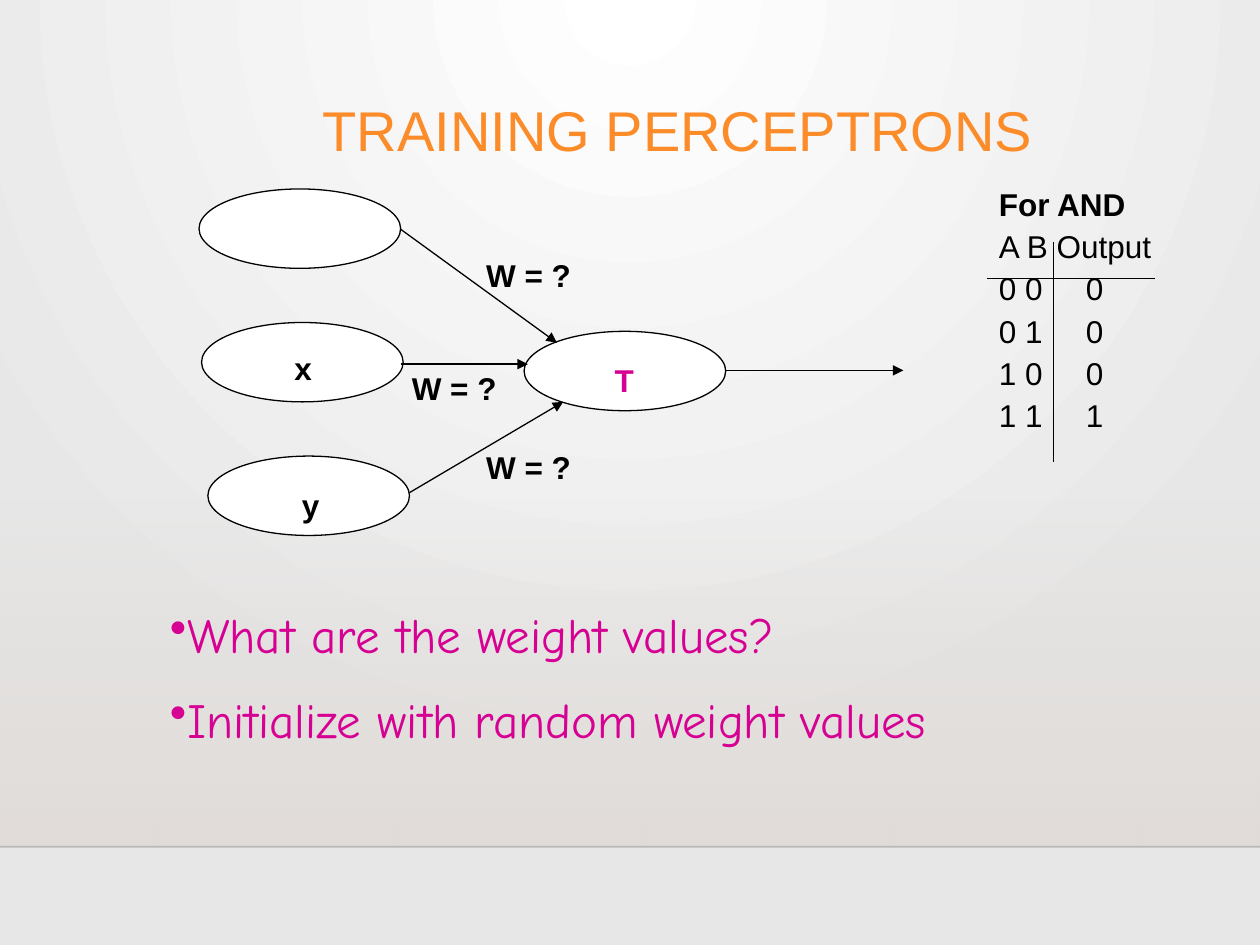
from dataclasses import dataclass
from typing import NamedTuple

from lxml import etree
from pptx import Presentation
from pptx import util as u
from pptx.dml import color
from pptx.enum import shapes, text
from pptx.oxml import ns


@dataclass(frozen=True)
class Theme:
    ink: str = "000000"
    paper: str = "FFFFFF"
    edge: str = "E7E7E7"
    floor: str = "DFD9D5"
    title: str = "FB8C29"
    accent: str = "D60093"
    sans: str = "Arial"
    hand: str = "Comic Neue"
    title_size: int = 32
    bullet_size: int = 28
    label_size: int = 18
    thin: float = 0.75


class Node(NamedTuple):
    left: float
    top: float


class Label(NamedTuple):
    words: str
    left: float
    top: float
    ink: str


class Line(NamedTuple):
    x1: float
    y1: float
    x2: float
    y2: float
    arrow: bool = False


T = Theme()
NODE_SIZE = (1.6, 0.63)
LABEL_SIZE = (1.39, 0.3)

# Output unit first, then the inputs y, x and the unnamed one
NODES = [Node(4.16, 2.63), Node(1.65, 3.62), Node(1.6, 2.56), Node(1.58, 1.5)]
LABELS = [
    Label("T", 4.26, 2.82, T.accent),
    Label("y", 1.77, 3.81, T.ink),
    Label("x", 1.71, 2.72, T.ink),
    Label("W = ?", 3.5, 1.98, T.ink),
    Label("W = ?", 3.5, 3.51, T.ink),
    Label("W = ?", 2.91, 2.88, T.ink),
]
LINES = [
    Line(3.18, 1.82, 4.42, 2.72, True),
    Line(3.18, 2.89, 4.19, 2.89, True),
    Line(3.25, 3.91, 4.47, 3.19, True),
    Line(5.76, 2.94, 7.17, 2.94, True),
    # Rules of the truth table
    Line(7.83, 2.21, 9.17, 2.21),
    Line(8.36, 1.92, 8.36, 3.67),
]
BULLETS = ["What are the weight values?", "Initialize with random weight values"]


def rgb(value: str) -> color.RGBColor:
    return color.RGBColor.from_string(value)


def sub(parent, tag: str, **attrs):
    return etree.SubElement(parent, ns.qn(tag), {k: str(v) for k, v in attrs.items()})


def box(left: float, top: float, width: float, height: float) -> list:
    return [u.Inches(v) for v in (left, top, width, height)]


def set_gradient(element, stops: list) -> etree._Element:
    """Replace the stops of the first gradient; each is (position, colour, alpha)."""
    grad = element.find(".//" + ns.qn("a:gradFill"))
    for child in list(grad):
        grad.remove(child)
    stop_list = sub(grad, "a:gsLst")
    for pos, value, alpha in stops:
        clr = sub(sub(stop_list, "a:gs", pos=pos * 1000), "a:srgbClr", val=value)
        if alpha < 100:
            sub(clr, "a:alpha", val=alpha * 1000)
    return grad


def format_run(p, words: str, size: int, ink: str, font: str = T.sans, bold: bool = False) -> None:
    r = p.add_run()
    r.text = words
    for name, value in {"size": u.Pt(size), "name": font, "bold": bold}.items():
        setattr(r.font, name, value)
    r.font.color.rgb = rgb(ink)


def add_text(s, place: tuple):
    tf = s.shapes.add_textbox(*box(*place)).text_frame
    tf.word_wrap = True
    return tf


def half_line_before(p):
    p_pr = p._p.get_or_add_pPr()
    sub(sub(p_pr, "a:spcBef"), "a:spcPct", val=50000)
    return p_pr


def add_line(s, line: Line, ink: str = T.ink, width: float = T.thin, alpha: int = 100) -> None:
    ends = [u.Inches(v) for v in line[:4]]
    sp = s.shapes.add_connector(shapes.MSO_CONNECTOR.STRAIGHT, *ends)
    sp.line.color.rgb = rgb(ink)
    sp.line.width = u.Pt(width)
    ln = sp.line._get_or_add_ln()
    if alpha < 100:
        sub(ln.find(".//" + ns.qn("a:srgbClr")), "a:alpha", val=alpha * 1000)
    if line.arrow:
        sub(ln, "a:tailEnd", type="triangle")
    sub(sp._element.spPr, "a:effectLst")


def add_node(s, node: Node) -> None:
    sp = s.shapes.add_shape(shapes.MSO_SHAPE.OVAL, *box(*node, *NODE_SIZE))
    sp.shadow.inherit = False
    sp.fill.solid()
    sp.fill.fore_color.rgb = rgb(T.paper)
    sp.line.color.rgb = rgb(T.ink)
    sp.line.width = u.Pt(T.thin)


def add_label(s, label: Label) -> None:
    p = add_text(s, (label.left, label.top, *LABEL_SIZE)).paragraphs[0]
    p.alignment = text.PP_ALIGN.CENTER
    format_run(p, label.words, T.label_size, label.ink, bold=True)


def add_backdrop(s) -> None:
    s.background.fill.gradient()
    grad = set_gradient(s._element, [(0, T.paper, 100), (100, T.edge, 100)])
    sub(sub(grad, "a:path", path="circle"), "a:fillToRect", l=43000, t=0, r=43000, b=100000)

    sp = s.shapes.add_shape(shapes.MSO_SHAPE.RECTANGLE, *box(0, 3.96, 10, 2.75))
    sp.shadow.inherit = False
    sp.line.fill.background()
    sp.fill.gradient()
    grad = set_gradient(sp._element, [(0, T.floor, 0), (100, T.floor, 80)])
    sub(grad, "a:lin", ang=90 * 60000, scaled=0)
    add_line(s, Line(0, 6.72, 10, 6.72), width=1, alpha=20)


def add_title(s, words: str) -> None:
    sp = s.shapes.title
    for name, value in zip(("left", "top", "width", "height"), box(1.12, 0.61, 8.52, 0.89)):
        setattr(sp, name, value)
    tf = sp.text_frame
    tf.vertical_anchor = text.MSO_ANCHOR.MIDDLE
    p = tf.paragraphs[0]
    p.alignment = text.PP_ALIGN.CENTER
    p.line_spacing = 0.9
    format_run(p, words, T.title_size, T.title)


def add_truth_table(s) -> None:
    rows = ["For AND", "A B Output"]
    rows += [f"{a} {b}\t{a & b}" for a in (0, 1) for b in (0, 1)]
    tf = add_text(s, (7.83, 1.5, 1.41, 2.12))
    for i, row in enumerate(rows):
        p = tf.add_paragraph() if i else tf.paragraphs[0]
        p.line_spacing = 0.7
        tabs = sub(half_line_before(p), "a:tabLst")
        sub(tabs, "a:tab", pos=u.Inches(0.69), algn="l")
        format_run(p, row, T.label_size, T.ink, bold=i == 0)


def add_bullet(s, words: str, top: float, width: float) -> None:
    p = add_text(s, (1.25, top, width, 0.57)).paragraphs[0]
    sub(half_line_before(p), "a:buChar", char="•")
    format_run(p, words, T.bullet_size, T.accent, T.hand)


def main() -> None:
    prs = Presentation()
    prs.slide_width, prs.slide_height = u.Inches(10), u.Inches(7.5)
    s = prs.slides.add_slide(prs.slide_layouts.get_by_name("Title Only"))
    add_backdrop(s)
    add_title(s, "TRAINING PERCEPTRONS")

    # Perceptron diagram and truth table
    for node in NODES:
        add_node(s, node)
    for label in LABELS:
        add_label(s, label)
    add_truth_table(s)
    for line in LINES:
        add_line(s, line)

    # Questions below the diagram
    for i, words in enumerate(BULLETS):
        add_bullet(s, words, 4.75 + 0.67 * i, 6.5 + i)
    prs.save("out.pptx")


if __name__ == "__main__":
    main()
